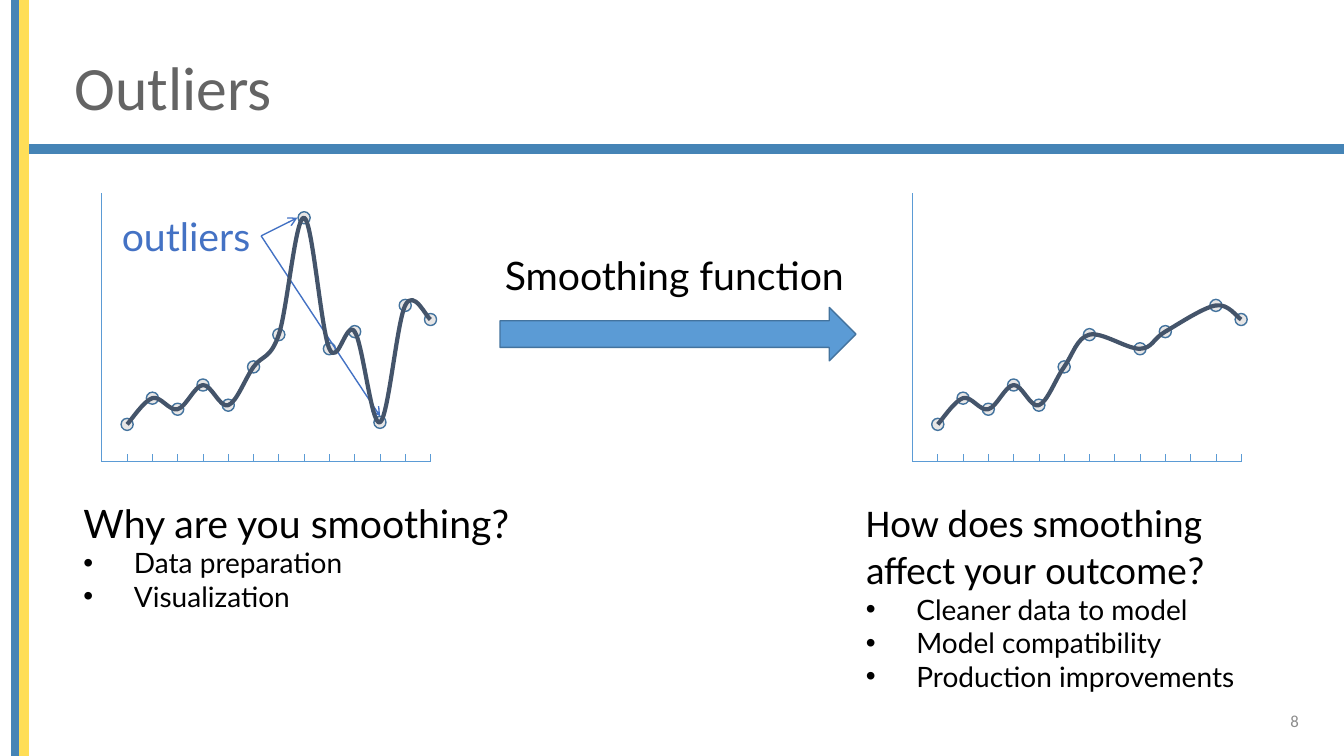
import pptx
import pptx.util
import pptx.dml.color
import pptx.enum.shapes
import pptx.enum.text
import pptx.oxml.ns
import lxml.etree

Inches, Pt = pptx.util.Inches, pptx.util.Pt
MSO = pptx.enum.shapes.MSO_SHAPE
PP_ALIGN = pptx.enum.text.PP_ALIGN
ANCHOR = pptx.enum.text.MSO_ANCHOR
qn = pptx.oxml.ns.qn
rgb = pptx.dml.color.RGBColor.from_string

COLORS = {
    "band": "4584B6", "yellow": "FFDE57", "title": "646464", "number": "8C8C8C",
    "axis": "5B9BD5", "dot": "E7E6E6", "edge": "43739E", "callout": "4472C4",
    "curve": "44546A", "text": "000000",
}


def add_box(shapes, kind, x, y, w, h, fill, line):
    sp = shapes.add_shape(kind, Inches(x), Inches(y), Inches(w), Inches(h))
    sp.shadow.inherit = False
    sp.fill.solid()
    sp.fill.fore_color.rgb = rgb(COLORS[fill])
    sp.line.color.rgb = rgb(COLORS[line])
    sp.line.width = Pt(1)
    return sp


def add_line(shapes, x1, y1, x2, y2, color, width):
    cx = shapes.add_connector(pptx.enum.shapes.MSO_CONNECTOR.STRAIGHT,
                              Inches(x1), Inches(y1), Inches(x2), Inches(y2))
    cx.line.color.rgb = rgb(COLORS[color])
    cx.line.width = Pt(width)
    lxml.etree.SubElement(cx._element.spPr, qn("a:effectLst"))
    return cx


prs = pptx.Presentation()
prs.slide_width, prs.slide_height = Inches(13.33), Inches(7.5)
s = prs.slides.add_slide(prs.slide_layouts[5])

# Bands along the top and the left edge
for x, y, w, h, color in [(0.19, 1.44, 13.14, 0.08, "band"),
                          (0.12, 0, 0.08, 7.5, "band"),
                          (0.2, 0, 0.08, 7.5, "yellow")]:
    add_box(s.shapes, MSO.RECTANGLE, x, y, w, h, color, color)

# Title
title = s.shapes.title
title.left, title.top = Inches(0.64), Inches(0.39)
title.width, title.height = Inches(11.78), Inches(1.01)
tf = title.text_frame
tf.vertical_anchor = ANCHOR.MIDDLE
p = tf.paragraphs[0]
p.alignment = PP_ALIGN.LEFT
p.line_spacing = 0.9
r = p.add_run()
r.text = "Outliers"
r.font.size, r.font.name = Pt(44), "Calibri"
r.font.color.rgb = rgb(COLORS["title"])

# Line plots: axes, ticks and dots; the second one leaves out the outliers
BASE, DOT = 4.58, 0.12
levels = [4.21, 3.95, 4.06, 3.82, 4.02, 3.64, 3.32, 2.16, 3.46, 3.29, 4.19, 3.03, 3.17]
STEP = 3.26 / len(levels)
outliers = {7, 10}
plots = []
for x0, skipped in [(1.01, set()), (9.05, outliers)]:
    group = s.shapes.add_group_shape().shapes
    add_line(group, x0, BASE, x0, 1.91, "axis", 0.5)
    add_line(group, x0, BASE, x0 + STEP * len(levels), BASE, "axis", 0.5)
    points = []
    for i, y in enumerate(levels):
        x = x0 + STEP * (i + 1)
        add_line(group, x, BASE, x, BASE - 0.08, "axis", 0.5)
        if i not in skipped:
            add_box(group, MSO.OVAL, x - DOT / 2, y - DOT / 2, DOT, DOT, "dot", "edge")
            points.append((Inches(x), Inches(y)))
    plots.append(points)

# Arrows from the label to the outliers
for x, y in [(2.95, 2.16), (3.77, 4.13)]:
    cx = add_line(s.shapes, 2.59, 2.34, x, y, "callout", 1)
    lxml.etree.SubElement(cx.line._get_or_add_ln(), qn("a:tailEnd"), type="arrow")

# Smooth curves through the dots: each segment becomes a cubic Bézier,
# with the tangent at a dot parallel to the chord between its neighbours
for points in plots:
    fb = s.shapes.build_freeform(*points[0], scale=1.0)
    fb.add_line_segments(points[1:], close=False)
    sp = fb.convert_to_shape()
    sp.shadow.inherit = False
    sp.fill.background()
    sp.line.color.rgb = rgb(COLORS["curve"])
    sp.line.width = Pt(3)
    padded = [points[0]] + points + [points[-1]]
    segments = list(sp._element.iter(qn("a:lnTo")))
    for seg, a, b, c, d in zip(segments, padded, padded[1:], padded[2:], padded[3:]):
        leave = [q + (v - o) / 6 for o, q, v in zip(a, b, c)]
        arrive = [v - (w - q) / 6 for q, v, w in zip(b, c, d)]
        bezier = lxml.etree.Element(qn("a:cubicBezTo"))
        for x, y in (leave, arrive, c):
            lxml.etree.SubElement(bezier, qn("a:pt"),
                                  x=str(round(x - sp.left)), y=str(round(y - sp.top)))
        seg.getparent().replace(seg, bezier)

# Block arrow between the plots
add_box(s.shapes, MSO.RIGHT_ARROW, 4.96, 3.05, 3.53, 0.53, "axis", "edge")

# Labels and questions: place, wrap, colour, heading font, heading, bullets
texts = [
    (1.11, 2.06, 1.6, 0.57, False, "callout", "Lato", "outliers", []),
    (4.91, 2.44, 3.64, 0.57, False, "text", "Lato", "Smoothing function", []),
    (0.73, 4.9, 4.47, 1.25, False, "text", "Lato", "Why are you smoothing?",
     ["Data preparation", "Visualization"]),
    (8.49, 4.89, 4.05, 2.05, True, "text", "Calibri",
     "How does smoothing affect your outcome?",
     ["Cleaner data to model", "Model compatibility", "Production improvements"]),
]
for x, y, w, h, wrap, color, font, heading, bullets in texts:
    tf = s.shapes.add_textbox(Inches(x), Inches(y), Inches(w), Inches(h)).text_frame
    tf.word_wrap = wrap
    tf.auto_size = pptx.enum.text.MSO_AUTO_SIZE.SHAPE_TO_FIT_TEXT
    for i, text in enumerate([heading] + bullets):
        p = tf.add_paragraph() if i else tf.paragraphs[0]
        r = p.add_run()
        r.text = text
        r.font.size = Pt(20 if i else 28)
        r.font.name = "Lato" if i else font
        r.font.color.rgb = rgb(COLORS[color])
        if i:
            pPr = p._p.get_or_add_pPr()
            pPr.set("marL", str(Inches(0.5)))
            pPr.set("indent", str(Inches(-0.5)))
            lxml.etree.SubElement(pPr, qn("a:buFont"), typeface="Arial")
            lxml.etree.SubElement(pPr, qn("a:buChar"), char="•")

# Slide number
tf = s.shapes.add_textbox(Inches(9.98), Inches(6.95), Inches(3), Inches(0.4)).text_frame
tf.word_wrap = True
tf.vertical_anchor = ANCHOR.MIDDLE
p = tf.paragraphs[0]
p.alignment = PP_ALIGN.RIGHT
r = p.add_run()
r.text = "8"
r.font.size, r.font.name = Pt(12), "Calibri"
r.font.color.rgb = rgb(COLORS["number"])

prs.save("out.pptx")
